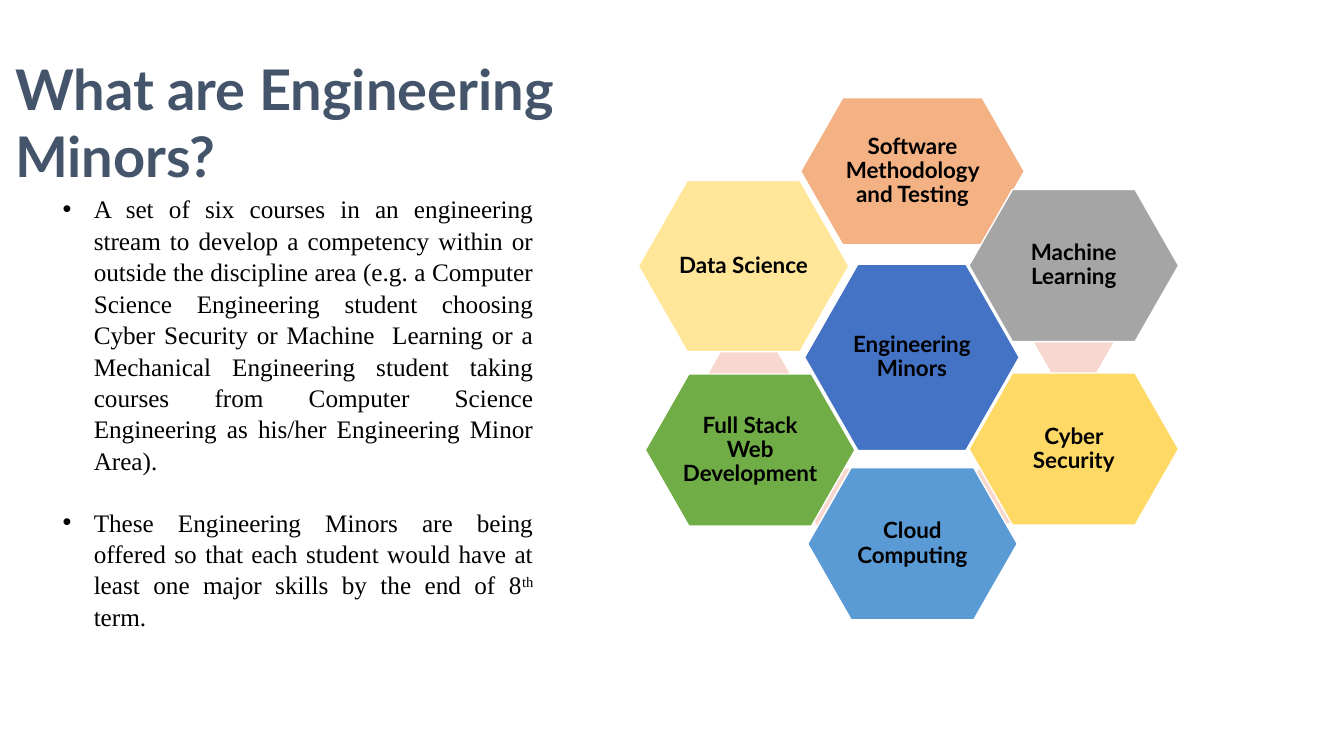
from dataclasses import dataclass

from lxml import etree
from pptx import Presentation
from pptx.dml.color import RGBColor
from pptx.enum.shapes import MSO_SHAPE
from pptx.enum.text import MSO_ANCHOR, MSO_AUTO_SIZE, PP_ALIGN
from pptx.oxml.ns import qn
from pptx.util import Inches, Pt

HEXAGON = MSO_SHAPE.HEXAGON
TOP, MIDDLE = MSO_ANCHOR.TOP, MSO_ANCHOR.MIDDLE
LEFT, CENTER, JUSTIFY = PP_ALIGN.LEFT, PP_ALIGN.CENTER, PP_ALIGN.JUSTIFY
NO_AUTOFIT = MSO_AUTO_SIZE.NONE


@dataclass(frozen=True)
class Theme:
    heading_font: str = "Lato"
    body_font: str = "Times New Roman"
    title_size: int = 40
    body_size: int = 18
    label_size: int = 16
    title: str = "44546A"
    text: str = "000000"
    outline: str = "FFFFFF"
    link: str = "F8D7CE"
    hub: str = "4472C4"
    orange: str = "F4B183"
    grey: str = "A5A5A5"
    gold: str = "FFD966"
    blue: str = "5B9BD5"
    green: str = "70AD47"
    cream: str = "FFE699"


def apply(obj, formats):
    for name, value in formats.items():
        setattr(obj, name, value)


class SlideBuilder:
    def __init__(self, prs, theme):
        self.theme = theme
        self.s = prs.slides.add_slide(prs.slide_layouts[1])

    def run(self, p, text, font, size, color, bold=False):
        r = p.add_run()
        r.text = text
        apply(r.font, {"name": font, "size": Pt(size), "bold": bold})
        r.font.color.rgb = RGBColor.from_string(color)
        return r

    def place(self, sp, box):
        apply(sp, dict(zip(("left", "top", "width", "height"), map(Inches, box))))
        apply(sp.text_frame, {"word_wrap": True, "auto_size": NO_AUTOFIT,
                              "vertical_anchor": TOP})
        return sp.text_frame

    def title(self, text, box):
        t = self.theme
        p = self.place(self.s.shapes.title, box).paragraphs[0]
        p.alignment = LEFT
        self.run(p, text, t.heading_font, t.title_size, t.title, True)

    def bullets(self, items, box, indent, gap):
        """Each item is a list of (text, is_superscript) pairs."""
        t = self.theme
        tf = self.place(self.s.placeholders[1], box)
        for i, parts in enumerate(items):
            p = tf.add_paragraph() if i else tf.paragraphs[0]
            apply(p, {"alignment": JUSTIFY, "line_spacing": 1.04,
                      "space_before": Pt(gap if i else 0), "space_after": Pt(0)})
            pPr = p._p.get_or_add_pPr()
            pPr.set("marL", str(Inches(indent)))
            pPr.set("indent", str(-Inches(indent)))
            etree.SubElement(pPr, qn("a:buFont")).set("typeface", "Arial")
            etree.SubElement(pPr, qn("a:buChar")).set("char", "•")
            for text, superscript in parts:
                r = self.run(p, text, t.body_font, t.body_size, t.text)
                if superscript:
                    r._r.get_or_add_rPr().set("baseline", "30000")

    def hexagon(self, box, fill, label=None):
        t = self.theme
        sp = self.s.shapes.add_shape(HEXAGON, *map(Inches, box))
        sp.shadow.inherit = False
        sp.adjustments[0] = 0.286
        sp.fill.solid()
        sp.fill.fore_color.rgb = RGBColor.from_string(fill)
        if label is None:
            sp.line.fill.background()
            return
        sp.line.color.rgb = RGBColor.from_string(t.outline)
        sp.line.width = Pt(1)
        tf = sp.text_frame
        apply(tf, {"word_wrap": True, "vertical_anchor": MIDDLE})
        apply(tf, dict.fromkeys(("margin_left", "margin_right", "margin_top",
                                 "margin_bottom"), Inches(0.02)))
        p = tf.paragraphs[0]
        apply(p, {"alignment": CENTER, "line_spacing": 0.9})
        self.run(p, label, t.heading_font, t.label_size, t.text, True)


def main():
    prs = Presentation()
    prs.slide_width, prs.slide_height = Inches(13.33), Inches(7.5)
    theme = Theme()
    slide = SlideBuilder(prs, theme)

    # Title and explanation
    slide.title("What are Engineering Minors?", (0.05, 0.49, 6.59, 1.45))
    slide.bullets([
        [("A set of six courses in an engineering stream to develop a competency "
          "within or outside the discipline area (e.g. a Computer Science "
          "Engineering student choosing Cyber Security or Machine  Learning or a "
          "Mechanical Engineering student taking courses from Computer Science "
          "Engineering as his/her Engineering Minor Area).", False)],
        [("These Engineering Minors are being offered so that each student would "
          "have at least one major skills by the end of 8", False),
         ("th", True), (" term.", False)],
    ], (0.52, 1.86, 4.87, 4.34), indent=0.31, gap=21.6)

    # Hub, then each minor clockwise from the top with the link behind it
    slide.hexagon((7.98, 2.62, 2.13, 1.85), theme.hub, "Engineering Minors")
    link_size, minor_size = (0.8, 0.69), (2.08, 1.51)
    minors = [
        ("Software Methodology and Testing", theme.orange,
         (9.31, 1.74), (7.94, 0.97), (2.22, 1.46)),
        ("Machine Learning", theme.grey, (10.25, 3.04), (9.61, 1.88), minor_size),
        ("Cyber Security", theme.gold, (9.6, 4.5), (9.61, 3.7), minor_size),
        ("Cloud Computing", theme.blue, (7.98, 4.65), (8.01, 4.64), minor_size),
        ("Full Stack Web Development", theme.green,
         (7.03, 3.36), (6.4, 3.71), minor_size),
        ("Data Science", theme.cream, None, (6.33, 1.79), (2.09, 1.7)),
    ]
    for label, fill, link_at, at, size in minors:
        if link_at:
            slide.hexagon(link_at + link_size, theme.link)
        slide.hexagon(at + size, fill, label)

    prs.save("out.pptx")


if __name__ == "__main__":
    main()
